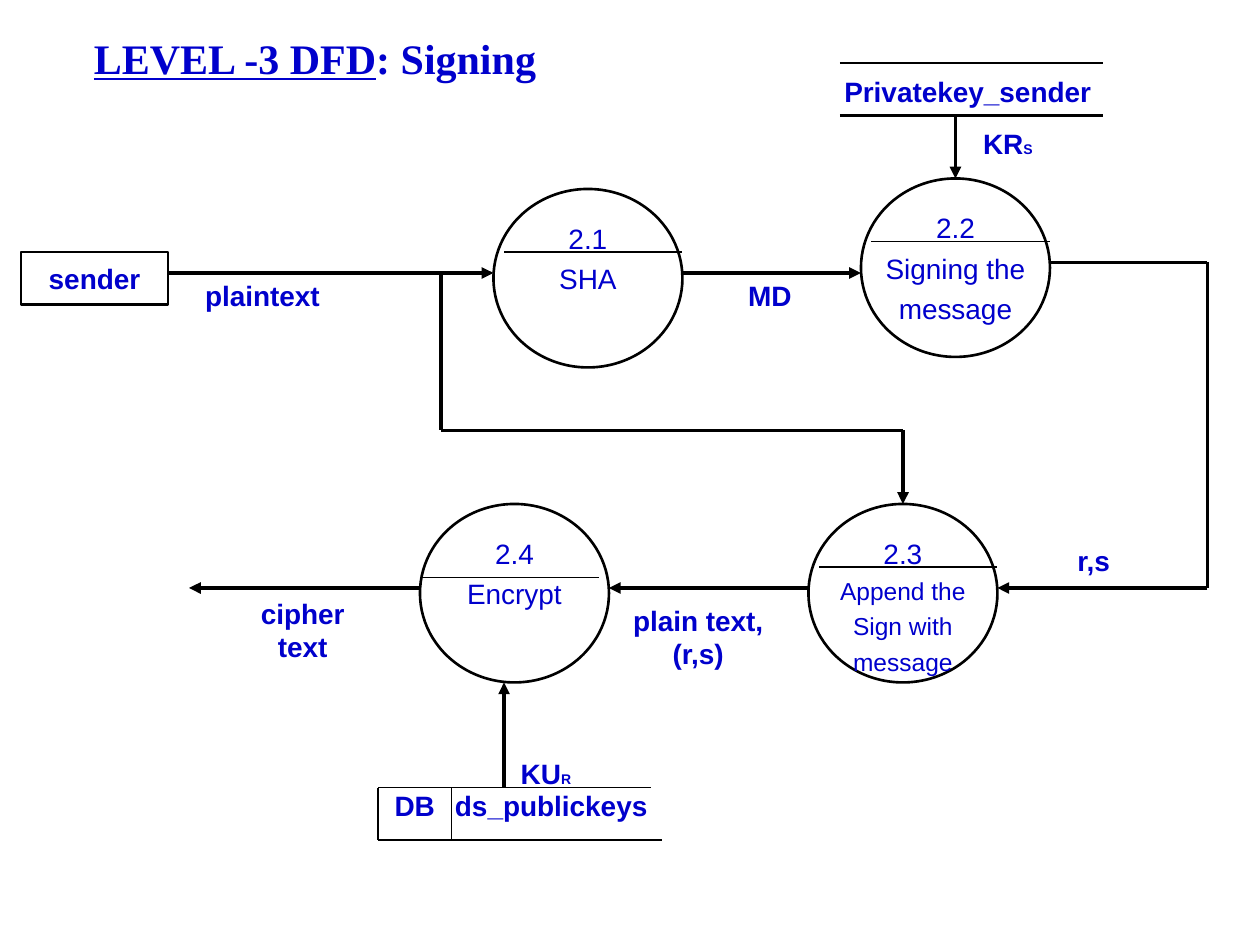
from itertools import pairwise

from lxml import etree
from pptx import Presentation
from pptx import util as u
from pptx.dml import color
from pptx.enum import shapes, text
from pptx.oxml import ns

COLORS = {"ink": "0000CC", "line": "000000"}
THIN, MEDIUM, THICK = 0.75, 1.5, 2.25
CIRCLE_W, CIRCLE_H = 108, 102
LABEL_W, LABEL_H = 114, 24


def rgb(name):
    """Look up a palette colour."""
    return color.RGBColor.from_string(COLORS[name])


def add_run(p, words, size=16, bold=False, font="Arial"):
    """Add one formatted run to a paragraph."""
    r = p.add_run()
    r.text = words
    r.font.size = u.Pt(size)
    r.font.bold = bold
    r.font.name = font
    r.font.color.rgb = rgb("ink")
    return r


def add_line(s, start, end, width, arrow=False):
    """Draw a straight line, with an arrowhead at its end if asked."""
    points = [u.Pt(v) for v in (*start, *end)]
    line = s.shapes.add_connector(shapes.MSO_CONNECTOR.STRAIGHT, *points)
    line.line.color.rgb = rgb("line")
    line.line.width = u.Pt(width)
    if arrow:
        ln = line.line._get_or_add_ln()
        etree.SubElement(ln, ns.qn("a:tailEnd"), type="triangle")
    etree.SubElement(line._element.spPr, ns.qn("a:effectLst"))


def add_outline(s, kind, box, lines, anchor):
    """Draw an unfilled shape with centred (words, size) lines."""
    sp = s.shapes.add_shape(kind, *[u.Pt(v) for v in box])
    sp.shadow.inherit = False
    sp.fill.background()
    sp.line.color.rgb = rgb("line")
    sp.line.width = u.Pt(MEDIUM)
    tf = sp.text_frame
    tf.word_wrap = False
    tf.vertical_anchor = anchor
    for i, (words, size, bold) in enumerate(lines):
        p = tf.add_paragraph() if i else tf.paragraphs[0]
        p.alignment = text.PP_ALIGN.CENTER
        p.space_before = u.Pt(size / 4)
        add_run(p, words, size, bold)


def add_label(s, center, *lines, subscript=None, width=LABEL_W):
    """Centre bold lines on a point, with an optional small suffix."""
    height = LABEL_H * len(lines)
    x, y = center
    sp = s.shapes.add_textbox(
        u.Pt(x - width / 2), u.Pt(y - height / 2), u.Pt(width), u.Pt(height))
    tf = sp.text_frame
    tf.word_wrap = True
    tf.vertical_anchor = text.MSO_ANCHOR.MIDDLE
    tf.margin_left = tf.margin_right = tf.margin_top = tf.margin_bottom = 0
    p = tf.paragraphs[0]
    p.alignment = text.PP_ALIGN.CENTER
    for i, words in enumerate(lines):
        if i:
            p.add_line_break()
        add_run(p, words, bold=True)
    if subscript:
        add_run(p, subscript, 8, True)


def add_title(s, box):
    """Place the slide title with its underlined lead."""
    title = s.shapes.title
    title.left, title.top, title.width, title.height = [u.Pt(v) for v in box]
    tf = title.text_frame
    tf.word_wrap = True
    tf.vertical_anchor = text.MSO_ANCHOR.MIDDLE
    p = tf.paragraphs[0]
    p.alignment = text.PP_ALIGN.CENTER
    lead = add_run(p, "LEVEL -3 DFD", 24, True, "Times New Roman")
    lead.font.underline = True
    add_run(p, ": Signing", 24, True, "Times New Roman")


def add_entity(s, box, name):
    """Draw an external entity."""
    add_outline(s, shapes.MSO_SHAPE.RECTANGLE, box, [(name, 16, True)],
                text.MSO_ANCHOR.MIDDLE)


def add_process(s, box, number, lines, size=16, rule=(6, 36)):
    """Draw a numbered process circle with a rule under the number."""
    x, y, w, h = box
    rows = [(number, 16, False)] + [(words, size, False) for words in lines]
    add_outline(s, shapes.MSO_SHAPE.OVAL, box, rows, text.MSO_ANCHOR.TOP)
    dx, dy = rule
    add_line(s, (x + dx, y + dy), (x + dx + 102, y + dy), THIN)


def add_key_store(s, box, name):
    """Draw an open data store between two bars."""
    x, y, w, h = box
    for bar in (y, y + h):
        add_line(s, (x, bar), (x + w, bar), MEDIUM)
    add_label(s, (x + w / 2 - 2, y + h / 2 + 1), name, width=w)


def add_database(s, box, tag, name):
    """Draw a tagged data store that is open on its right."""
    x, y, w, h = box
    tag_w = 42
    add_line(s, (x, y), (x + w, y), THIN)
    add_line(s, (x, y + h), (x + w + 6, y + h), THIN)
    for side in (x, x + tag_w):
        add_line(s, (side, y), (side, y + h), THIN)
    add_label(s, (x + tag_w / 2, y + 10), tag, width=tag_w)
    add_label(s, (x + (tag_w + w) / 2, y + 10), name, width=w - tag_w)


def add_flow(s, *points):
    """Draw a data flow through its corners, with a head at the end."""
    for start, end in pairwise(points):
        add_line(s, start, end, THICK, arrow=end == points[-1])


def main():
    """Build the signing diagram."""
    prs = Presentation()
    prs.slide_width, prs.slide_height = u.Pt(720), u.Pt(540)
    s = prs.slides.add_slide(prs.slide_layouts[5])
    add_title(s, (0, 0, 360, 66))

    add_entity(s, (12, 144, 84, 30), "sender")
    add_key_store(s, (480, 36, 150, 30), "Privatekey_sender")
    add_database(s, (216, 450, 156, 30), "DB", "ds_publickeys")

    size = CIRCLE_W, CIRCLE_H
    add_process(s, (282, 108, *size), "2.1", ["SHA"])
    add_process(s, (492, 102, *size), "2.2", ["Signing the", "message"])
    add_process(s, (462, 288, *size), "2.3",
                ["Append the", "Sign with", "message"], size=14)
    add_process(s, (240, 288, *size), "2.4", ["Encrypt"], rule=(0, 42))

    add_flow(s, (96, 156), (282, 156))
    add_flow(s, (252, 156), (252, 246), (516, 246), (516, 288))
    add_flow(s, (390, 156), (492, 156))
    add_flow(s, (600, 150), (690, 150), (690, 336), (570, 336))
    add_flow(s, (462, 336), (348, 336))
    add_flow(s, (240, 336), (108, 336))
    add_flow(s, (546, 66), (546, 102))
    add_flow(s, (288, 450), (288, 390))

    add_label(s, (150, 169), "plaintext")
    add_label(s, (440, 169), "MD")
    add_label(s, (625, 320), "r,s")
    add_label(s, (173, 360), "cipher", "text")
    add_label(s, (399, 364), "plain text,", "(r,s)")
    add_label(s, (312, 442), "KU", subscript="R")
    add_label(s, (576, 82), "KR", subscript="S")
    prs.save("out.pptx")


if __name__ == "__main__":
    main()
